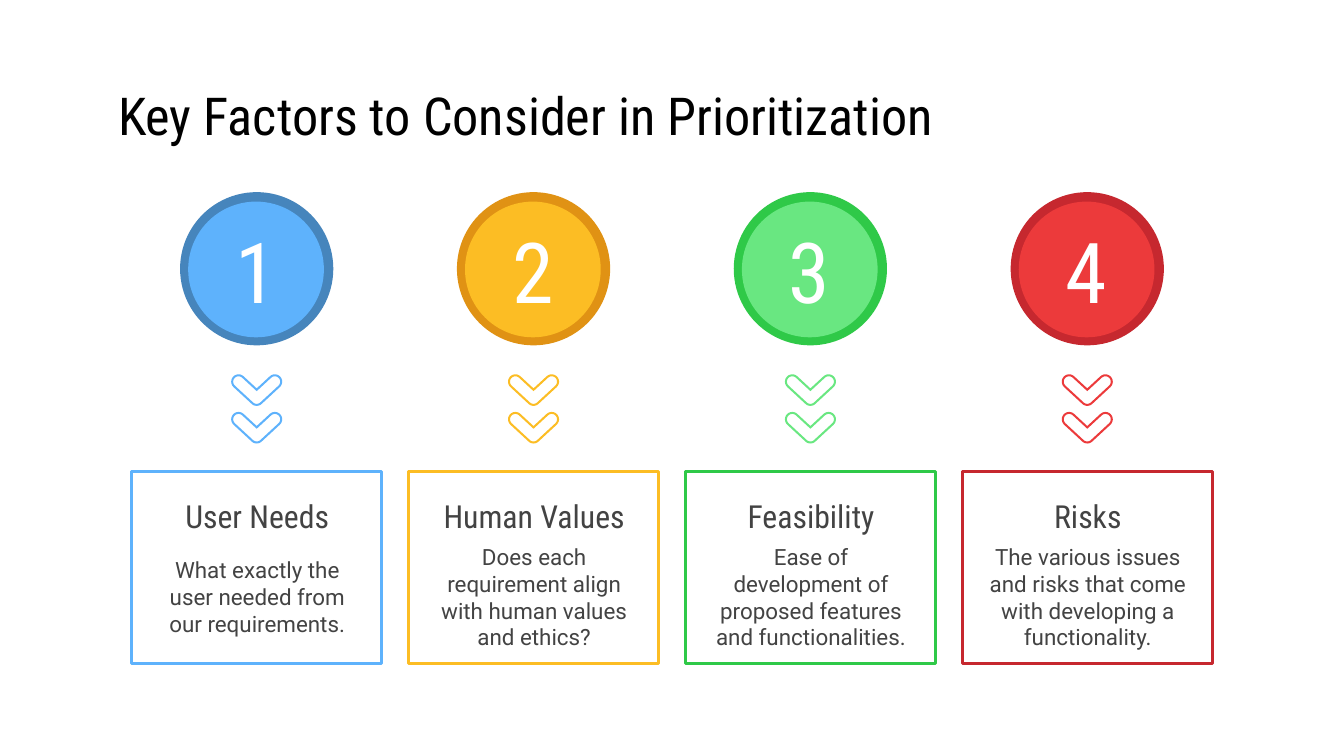
import math

from pptx import Presentation, util as u
from pptx.dml.color import RGBColor
from pptx.enum import shapes, text

HEADING_FONT = "Roboto Condensed"
BODY_FONT = "Roboto"
TEXT_GREY = "434343"
FIRST_LEFT, PITCH = 0.98, 2.06

FACTORS = [
    ("User Needs", "What exactly the user needed from our requirements.",
     "5EB2FC", "4685BC", "5EB2FC"),
    ("Human Values", "Does each requirement align with human values and ethics?",
     "FCBD24", "E09214", "FCBD24"),
    ("Feasibility", "Ease of development of proposed features and functionalities.",
     "69E781", "2FC948", "2FC948"),
    ("Risks", "The various issues and risks that come with developing a functionality.",
     "EC3A3B", "C6282F", "C6282F"),
]


def color(value):
    """Turn a hex string into a colour."""
    return RGBColor.from_string(value)


def write(shape, words, size, font, ink, align=text.PP_ALIGN.CENTER):
    """Put one styled run in a shape, centred vertically."""
    frame = shape.text_frame
    frame.word_wrap = True
    frame.vertical_anchor = text.MSO_ANCHOR.MIDDLE
    frame.margin_left = frame.margin_right = u.Inches(0.1)
    frame.margin_top = frame.margin_bottom = u.Inches(0.1)
    para = frame.paragraphs[0]
    para.alignment = align
    span = para.add_run()
    span.text = words
    span.font.size = u.Pt(size)
    span.font.name = font
    span.font.color.rgb = color(ink)


def add_text(parent, area, *style):
    """Add a text box with one run."""
    box = parent.shapes.add_textbox(*map(u.Inches, area))
    write(box, *style)


def add_circle(parent, left, top, size, fill):
    """Add a filled circle without an outline."""
    circle = parent.shapes.add_shape(
        shapes.MSO_SHAPE.OVAL, *map(u.Inches, (left, top, size, size)))
    circle.shadow.inherit = False
    circle.fill.solid()
    circle.fill.fore_color.rgb = color(fill)
    circle.line.fill.background()
    return circle


def add_frame(parent, area, ink):
    """Add an unfilled rectangle with a coloured border."""
    frame = parent.shapes.add_shape(shapes.MSO_SHAPE.RECTANGLE, *map(u.Inches, area))
    frame.shadow.inherit = False
    frame.fill.background()
    frame.line.color.rgb = color(ink)
    frame.line.width = u.Pt(1.5)


def chevron_contour(left, top, radius):
    """Return the points of a V whose arms have round ends of the given radius."""
    half, drop = 0.135, 0.125
    tip_x, end_y = left + 0.19, top + 0.06
    tip_y = end_y + drop
    slope = math.atan2(drop, half)
    quarter = math.pi / 2
    arcs = [
        (tip_x - half, end_y, slope - quarter, slope - 3 * quarter),
        (tip_x, tip_y, quarter + slope, quarter - slope),
        (tip_x + half, end_y, quarter - slope, -quarter - slope),
    ]
    points = [(tip_x, tip_y - radius / math.cos(slope))]
    steps = 12
    for x, y, start, stop in arcs:
        for step in range(steps + 1):
            angle = start + (stop - start) * step / steps
            points.append((x + radius * math.cos(angle), y + radius * math.sin(angle)))
    return [(u.Inches(x), u.Inches(y)) for x, y in points]


def add_chevron(parent, left, top, fill):
    """Add a hollow chevron as a ring between two contours."""
    outer = chevron_contour(left, top, 0.055)
    inner = chevron_contour(left, top, 0.04)
    builder = parent.shapes.build_freeform(*outer[0])
    builder.add_line_segments(outer[1:])
    builder.move_to(*inner[0])
    builder.add_line_segments(inner[1:])
    chevron = builder.convert_to_shape()
    chevron.shadow.inherit = False
    chevron.fill.solid()
    chevron.fill.fore_color.rgb = color(fill)
    chevron.line.fill.background()


def add_factor(page, index, name, detail, main_color, ring_color, border_color):
    """Add one grouped column: numbered circle, chevrons and framed text."""
    left = FIRST_LEFT + index * PITCH
    group = page.shapes.add_group_shape()
    add_frame(group, (left, 3.51, 1.86, 1.43), border_color)
    for top in (2.78, 3.06):
        add_chevron(group, left + 0.74, top, main_color)
    add_circle(group, left + 0.36, 1.43, 1.14, ring_color)
    disc = add_circle(group, left + 0.42, 1.5, 1.01, main_color)
    write(disc, str(index + 1), 45, HEADING_FONT, "FFFFFF")
    add_text(group, (left + 0.1, 4.02, 1.67, 0.84), detail, 12, BODY_FONT, TEXT_GREY)
    add_text(group, (left + 0.1, 3.6, 1.67, 0.47), name, 17, HEADING_FONT, TEXT_GREY)


def main():
    """Build and save the slide."""
    deck = Presentation()
    deck.slide_width = u.Inches(10)
    deck.slide_height = deck.slide_width * 9 // 16
    page = deck.slides.add_slide(deck.slide_layouts[6])
    add_text(page, (0.78, 0.59, 8.45, 0.53), "Key Factors to Consider in Prioritization",
             28, HEADING_FONT, "000000", text.PP_ALIGN.LEFT)
    for index, factor in enumerate(FACTORS):
        add_factor(page, index, *factor)
    deck.save("out.pptx")


if __name__ == "__main__":
    main()
